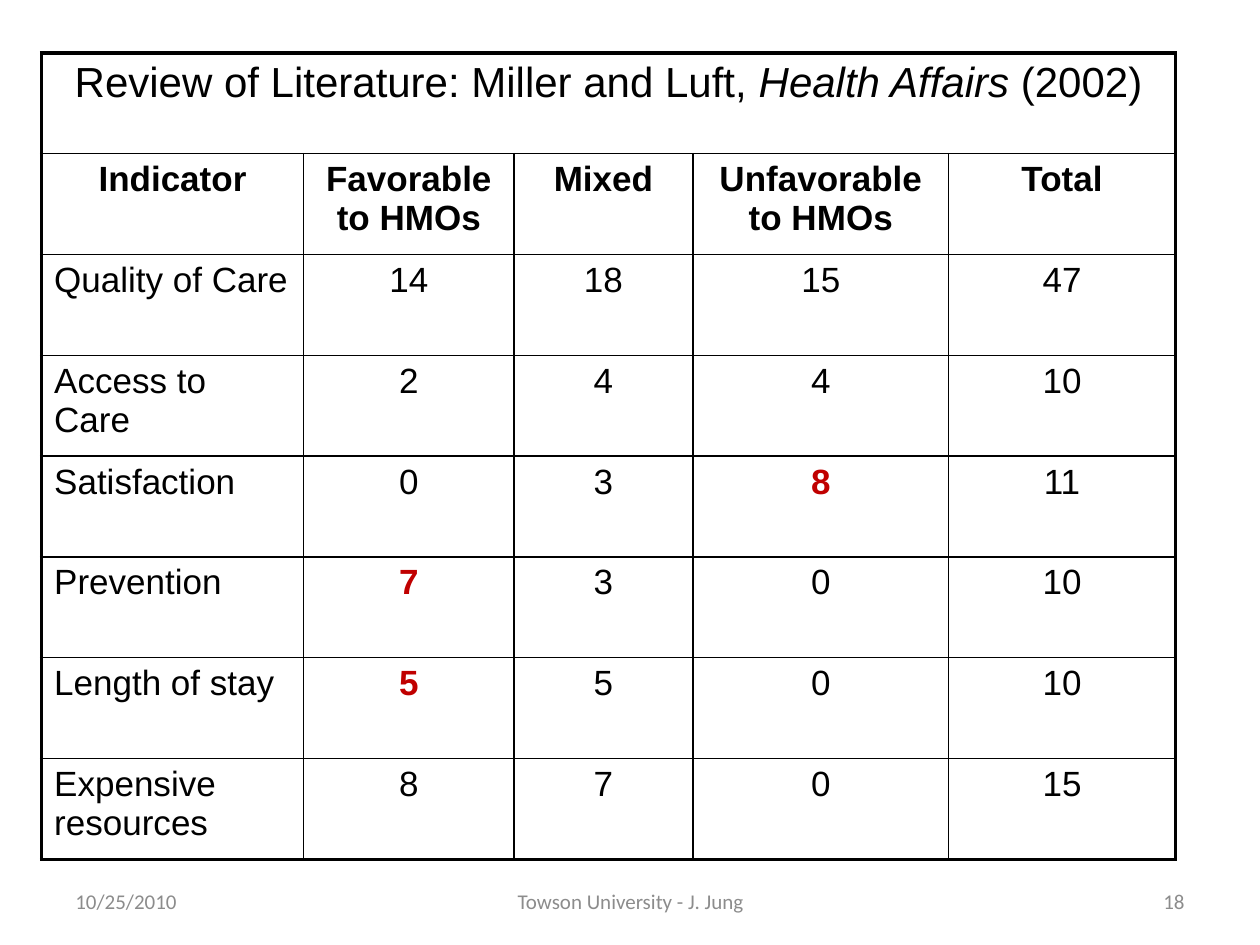
from dataclasses import dataclass

from lxml.etree import SubElement
from pptx import Presentation
from pptx.dml.color import RGBColor as RGB
from pptx.enum.text import MSO_ANCHOR as ANCHOR, PP_ALIGN as ALIGN
from pptx.oxml.ns import qn
from pptx.util import Inches, Pt


@dataclass(frozen=True)
class Theme:
    ink: str = "000000"
    accent: str = "C00000"
    muted: str = "8C8C8C"
    table_font: str = "Arial"
    footer_font: str = "Calibri"
    title_size: int = 24
    body_size: int = 20
    footer_size: int = 12
    frame: float = 2.25
    rule: float = 1


class SlideBuilder:
    """Adds styled footers and a bordered table to one slide."""

    def __init__(self, prs, theme):
        self.theme = theme
        self.slide = prs.slides.add_slide(prs.slide_layouts[6])

    def run(self, p, text, font, size, color, bold=False, italic=False):
        r = p.add_run()
        r.text = text
        r.font.name, r.font.size = font, Pt(size)
        r.font.bold, r.font.italic = bold, italic
        r.font.color.rgb = RGB.from_string(color)

    def footer(self, text, left, width, align):
        t = self.theme
        sp = self.slide.shapes.add_textbox(
            Inches(left), Inches(6.95), Inches(width), Inches(0.4))
        tf = sp.text_frame
        tf.word_wrap = True
        tf.vertical_anchor = ANCHOR.MIDDLE
        p = tf.paragraphs[0]
        p.alignment = align
        self.run(p, text, t.footer_font, t.footer_size, t.muted)

    def borders(self, cell, outer):
        t = self.theme
        tc_pr = cell._tc.get_or_add_tcPr()
        for side in "LRTB":
            width = t.frame if side in outer else t.rule
            ln = SubElement(tc_pr, qn(f"a:ln{side}"), w=str(Pt(width)))
            fill = SubElement(ln, qn("a:solidFill"))
            SubElement(fill, qn("a:srgbClr"), val=t.ink)
        cell.fill.background()

    def cell_text(self, cell, text, align, bold, color):
        t = self.theme
        p = cell.text_frame.paragraphs[0]
        p.alignment = align
        self.run(p, text, t.table_font, t.body_size, color, bold)

    def table(self, title, header, rows, highlights, widths, row_height):
        t = self.theme
        n_rows, n_cols = len(rows) + 2, len(widths)
        table = self.slide.shapes.add_table(
            n_rows, n_cols, Inches(0.33), Inches(0.42),
            Inches(sum(widths)), Inches(row_height * n_rows)).table
        table.first_row = table.horz_banding = False
        for col, width in zip(table.columns, widths):
            col.width = Inches(width)
        for row in table.rows:
            row.height = Inches(row_height)

        for i in range(n_rows):
            for j in range(n_cols):
                edges = {"L": j == 0, "R": j == n_cols - 1,
                         "T": i == 0, "B": i == n_rows - 1}
                if i == 0:
                    edges["L"] = edges["R"] = True
                self.borders(table.cell(i, j), [s for s in edges if edges[s]])

        table.cell(0, 0).merge(table.cell(0, n_cols - 1))
        p = table.cell(0, 0).text_frame.paragraphs[0]
        p.alignment = ALIGN.CENTER
        for text, italic in title:
            self.run(p, text, t.table_font, t.title_size, t.ink, italic=italic)

        for j, text in enumerate(header):
            self.cell_text(table.cell(1, j), text, ALIGN.CENTER, True, t.ink)
        for i, values in enumerate(rows, 2):
            for j, value in enumerate(values):
                marked = (values[0], header[j]) in highlights
                self.cell_text(table.cell(i, j), str(value),
                               ALIGN.CENTER if j else ALIGN.LEFT,
                               marked, t.accent if marked else t.ink)


TITLE = [("Review of Literature: Miller and Luft, ", False),
         ("Health Affairs", True), (" (2002)", False)]
HEADER = ["Indicator", "Favorable to HMOs", "Mixed", "Unfavorable to HMOs", "Total"]
FINDINGS = [
    ("Quality of Care", 14, 18, 15, 47),
    ("Access to Care", 2, 4, 4, 10),
    ("Satisfaction", 0, 3, 8, 11),
    ("Prevention", 7, 3, 0, 10),
    ("Length of stay", 5, 5, 0, 10),
    ("Expensive resources", 8, 7, 0, 15),
]
HIGHLIGHTS = {
    ("Satisfaction", "Unfavorable to HMOs"),
    ("Prevention", "Favorable to HMOs"),
    ("Length of stay", "Favorable to HMOs"),
}


def main():
    prs = Presentation()
    prs.slide_width, prs.slide_height = Inches(10), Inches(7.5)
    s = SlideBuilder(prs, Theme())
    s.footer("10/25/2010", 0.5, 2.33, ALIGN.LEFT)
    s.footer("Towson University - J. Jung", 3.42, 3.17, ALIGN.CENTER)
    s.footer("18", 7.17, 2.33, ALIGN.RIGHT)
    s.table(TITLE, HEADER, FINDINGS, HIGHLIGHTS,
            [2.08, 1.67, 1.42, 2.03, 1.8], 0.8)
    prs.save("out.pptx")


if __name__ == "__main__":
    main()
